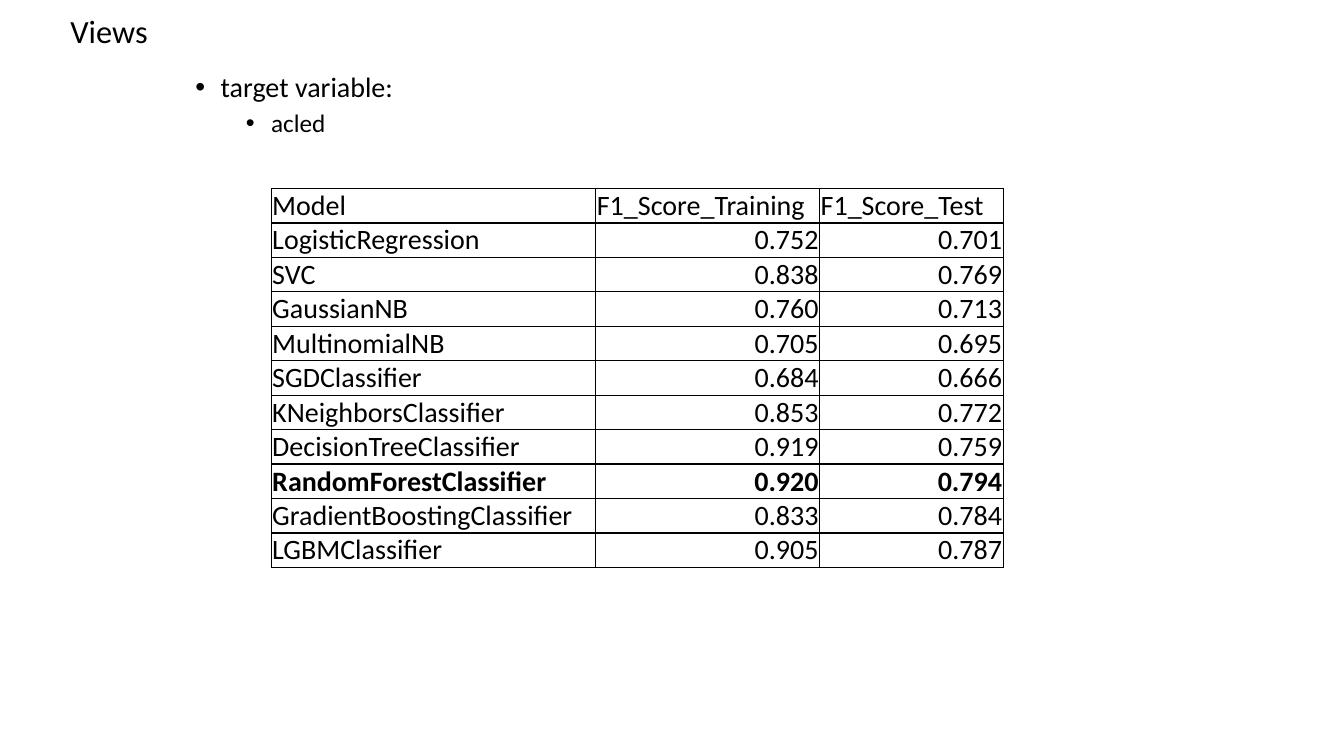
import pptx
import pptx.util
import pptx.dml.color
import pptx.enum.text
import pptx.oxml
import pptx.oxml.ns
from pptx.util import Inches

THEME = {
    "font": "Calibri",
    "ink": pptx.dml.color.RGBColor(0, 0, 0),
    "border": "000000",
    "title": 23.1,
    "topic": 20,
    "detail": 18,
    "cell": 20,
}
ANCHOR = pptx.enum.text.MSO_ANCHOR
ALIGN = pptx.enum.text.PP_ALIGN
NAMESPACE = pptx.oxml.ns.nsdecls("a")


def style_runs(para, size, bold=False):
    for span in para.runs:
        span.font.name = THEME["font"]
        span.font.size = pptx.util.Pt(THEME[size])
        span.font.bold = bold
        span.font.color.rgb = THEME["ink"]


deck = pptx.Presentation()
deck.slide_width, deck.slide_height = Inches(13.33), Inches(7.5)
page = deck.slides.add_slide(deck.slide_layouts[6])

# Title
title_box = page.shapes.add_textbox(Inches(0.6), Inches(0.15), Inches(12.14), Inches(0.41))
title_box.text_frame.word_wrap = True
title_box.text_frame.vertical_anchor = ANCHOR.MIDDLE
title_box.text_frame.text = "Views"
title = title_box.text_frame.paragraphs[0]
title.line_spacing = 0.7
style_runs(title, "title")

# Bulleted target variable
bullet_box = page.shapes.add_textbox(Inches(0.84), Inches(0.68), Inches(11.5), Inches(6.73))
bullet_box.text_frame.word_wrap = True
bullet_box.text_frame.text = "target variable:\nacled"
for index, (para, size) in enumerate(zip(bullet_box.text_frame.paragraphs, ("topic", "detail"))):
    para.level = 2 + index
    para.line_spacing = 0.9
    if index:
        para.space_before = pptx.util.Pt(5)
    properties = para._p.get_or_add_pPr()
    properties.set("marL", str(Inches(1.25 + 0.5 * index)))
    properties.set("indent", str(Inches(-0.25)))
    properties.append(pptx.oxml.parse_xml(f'<a:buFont {NAMESPACE} typeface="Arial"/>'))
    properties.append(pptx.oxml.parse_xml(f'<a:buChar {NAMESPACE} char="•"/>'))
    style_runs(para, size)

# Model scores
scores = [
    ("Model", "F1_Score_Training", "F1_Score_Test"),
    ("LogisticRegression", "0.752", "0.701"),
    ("SVC", "0.838", "0.769"),
    ("GaussianNB", "0.760", "0.713"),
    ("MultinomialNB", "0.705", "0.695"),
    ("SGDClassifier", "0.684", "0.666"),
    ("KNeighborsClassifier", "0.853", "0.772"),
    ("DecisionTreeClassifier", "0.919", "0.759"),
    ("RandomForestClassifier", "0.920", "0.794"),
    ("GradientBoostingClassifier", "0.833", "0.784"),
    ("LGBMClassifier", "0.905", "0.787"),
]
best_model = "RandomForestClassifier"
column_widths = (3.22, 2.22, 1.82)

table = page.shapes.add_table(
    len(scores), len(column_widths), Inches(2.69), Inches(1.87), Inches(7.26), Inches(3.76)
).table
table.first_row = False
table.horz_banding = False
for column, width in zip(table.columns, column_widths):
    column.width = Inches(width)

for row_index, row in enumerate(scores):
    for column_index, text in enumerate(row):
        cell = table.cell(row_index, column_index)
        cell.text_frame.text = text
        cell.vertical_anchor = ANCHOR.BOTTOM
        cell.margin_left = cell.margin_right = Inches(0.01)
        cell.margin_top = pptx.util.Pt(0.25)
        cell.margin_bottom = 0
        para = cell.text_frame.paragraphs[0]
        para.alignment = ALIGN.RIGHT if row_index and column_index else ALIGN.LEFT
        style_runs(para, "cell", bold=row[0] == best_model)

        # Cell borders come before the fill
        for side in ("lnL", "lnR", "lnT", "lnB"):
            cell._tc.get_or_add_tcPr().append(pptx.oxml.parse_xml(
                f'<a:{side} {NAMESPACE} w="{pptx.util.Pt(1)}"><a:solidFill>'
                f'<a:srgbClr val="{THEME["border"]}"/></a:solidFill></a:{side}>'
            ))
        cell.fill.background()

deck.save("out.pptx")
